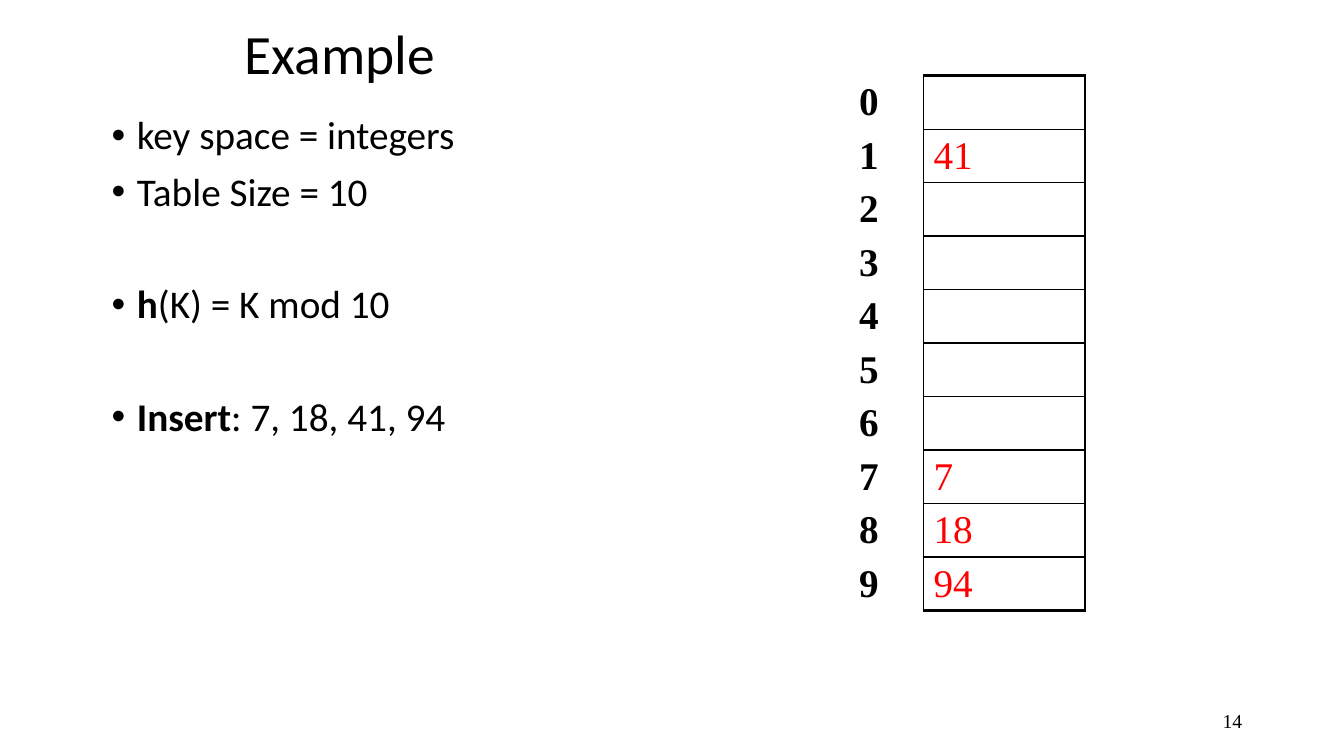
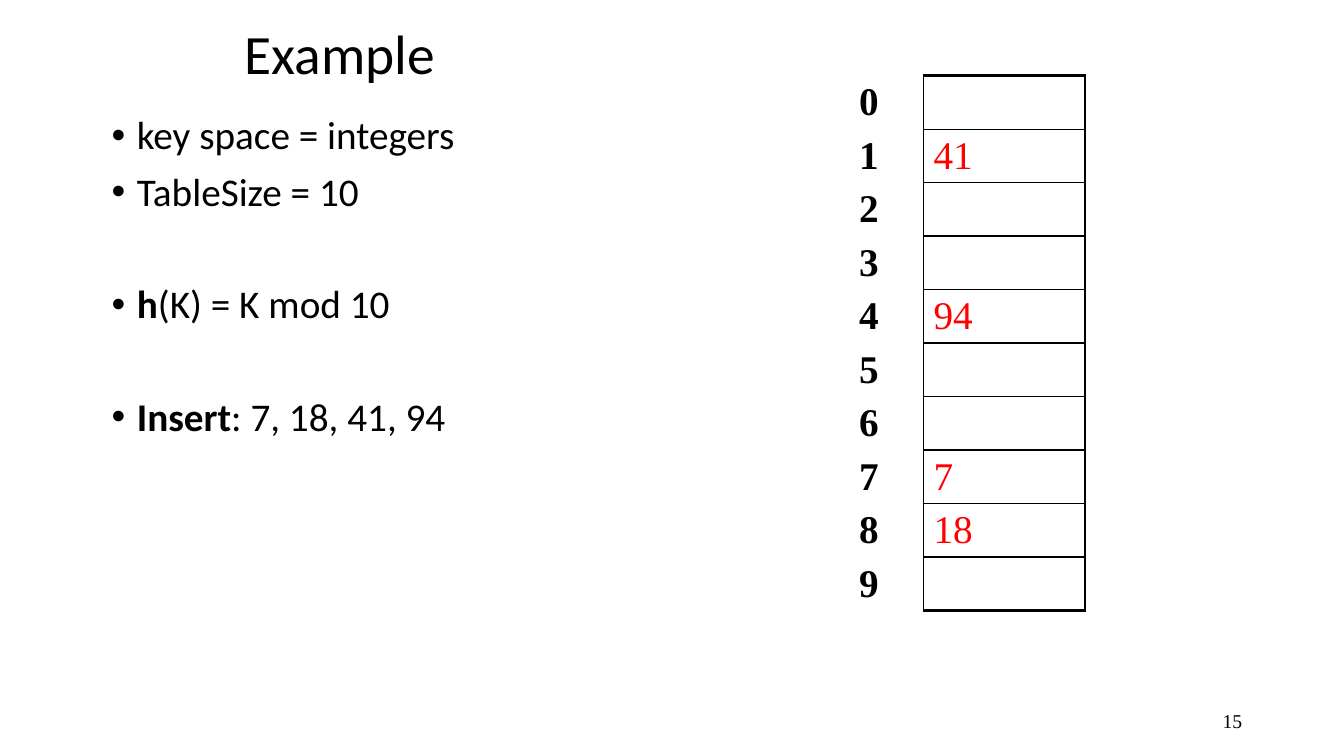
from lxml import etree
from pptx import Presentation
from pptx import util as u
from pptx.dml.color import RGBColor
from pptx.enum import text
from pptx.oxml import ns

BLACK, RED, WHITE = "000000", "FF0000", "FFFFFF"
SANS, SERIF = "Calibri", "Times New Roman"
TABLE_SIZE = 10
THIN, THICK = 1, 2.25

TITLE = {"size": u.Pt(39.6), "name": SANS}
BODY = {"size": u.Pt(28), "name": SANS}
PAGE_NUMBER = {"size": u.Pt(14), "name": SERIF}
INDEX = {"size": u.Pt(28), "name": SERIF, "bold": True}
KEY = {"size": u.Pt(28), "name": SERIF}

LINE = {"line_spacing": 0.9}
BULLET = {**LINE, "space_before": u.Pt(10)}
BULLET_AFTER_GAP = {**LINE, "space_before": u.Pt(50.3)}

SLIDES = [
    {"page": 14, "size_label": "Table Size", "keys": {1: 41, 7: 7, 8: 18, 9: 94}},
    {"page": 15, "size_label": "TableSize", "keys": {1: 41, 4: 94, 7: 7, 8: 18}},
]


def colour(value):
    return RGBColor.from_string(value)


def apply(target, values):
    for attribute, value in values.items():
        setattr(target, attribute, value)


def add_run(paragraph, words, font, ink=BLACK):
    run = paragraph.add_run()
    run.text = str(words)
    apply(run.font, font)
    run.font.color.rgb = colour(ink)


def add_frame(slide, left, top, width, height, anchor):
    box = slide.shapes.add_textbox(*map(u.Inches, (left, top, width, height)))
    apply(box.text_frame, {"word_wrap": True, "vertical_anchor": anchor})
    return box.text_frame


def add_title(slide, words):
    frame = add_frame(slide, 2.33, 0.19, 8.5, 0.75, text.MSO_ANCHOR.MIDDLE)
    heading = frame.paragraphs[0]
    apply(heading, LINE)
    add_run(heading, words, TITLE)


def add_page_number(slide, page):
    frame = add_frame(slide, 9.42, 6.95, 3, 0.4, text.MSO_ANCHOR.MIDDLE)
    number = frame.paragraphs[0]
    number.alignment = text.PP_ALIGN.RIGHT
    add_run(number, page, PAGE_NUMBER)


def set_bullet(paragraph):
    properties = paragraph._p.get_or_add_pPr()
    properties.set("marL", str(u.Inches(0.25)))
    properties.set("indent", str(-u.Inches(0.25)))
    etree.SubElement(properties, ns.qn("a:buFont")).set("typeface", "Arial")
    etree.SubElement(properties, ns.qn("a:buChar")).set("char", "•")


def add_bullets(slide, bullets):
    frame = add_frame(slide, 1.01, 1.1, 7.41, 4.96, text.MSO_ANCHOR.TOP)
    for position, (spacing, bold_words, words) in enumerate(bullets):
        bullet = frame.add_paragraph() if position else frame.paragraphs[0]
        apply(bullet, spacing)
        set_bullet(bullet)
        if bold_words:
            add_run(bullet, bold_words, {**BODY, "bold": True})
        add_run(bullet, words, BODY)


def set_borders(cell, widths):
    properties = cell._tc.get_or_add_tcPr()
    for side, width in widths.items():
        border = etree.SubElement(properties, ns.qn(f"a:ln{side}"))
        border.set("w", str(u.Pt(width)))
        fill = etree.SubElement(border, ns.qn("a:solidFill"))
        etree.SubElement(fill, ns.qn("a:srgbClr")).set("val", BLACK)


def fill_cell(cell, words, font, ink, borders):
    apply(cell, {
        "margin_top": u.Inches(0.03),
        "margin_bottom": u.Inches(0.03),
        "vertical_anchor": text.MSO_ANCHOR.MIDDLE,
    })
    set_borders(cell, borders)
    cell.fill.background()
    if words is not None:
        add_run(cell.text_frame.paragraphs[0], words, font, ink)


def add_hash_table(slide, keys):
    frame = slide.shapes.add_table(
        TABLE_SIZE, 2, *map(u.Inches, (8.42, 0.75, 2.34, 5.31)))
    buckets = frame.table
    apply(buckets, {"first_row": False, "horz_banding": False})
    for column, width in zip(buckets.columns, (0.74, 1.6)):
        column.width = u.Inches(width)
    for index in range(TABLE_SIZE):
        borders = {
            "L": THIN,
            "R": THICK,
            "T": THICK if index == 0 else THIN,
            "B": THICK if index == TABLE_SIZE - 1 else THIN,
        }
        fill_cell(buckets.cell(index, 0), index, INDEX, BLACK, {"R": THIN})
        fill_cell(buckets.cell(index, 1), keys.get(index), KEY, RED, borders)


def add_example(deck, page, size_label, keys):
    slide = deck.slides.add_slide(deck.slide_layouts[6])
    background = slide.background.fill
    background.solid()
    background.fore_color.rgb = colour(WHITE)
    add_page_number(slide, page)
    add_title(slide, "Example")
    add_bullets(slide, [
        (BULLET, "", "key space = integers"),
        (BULLET, "", f"{size_label} = {TABLE_SIZE}"),
        (BULLET_AFTER_GAP, "h", f"(K) = K mod {TABLE_SIZE}"),
        (BULLET_AFTER_GAP, "Insert", ": 7, 18, 41, 94"),
    ])
    add_hash_table(slide, keys)


def main():
    deck = Presentation()
    apply(deck, {"slide_width": u.Inches(13.33), "slide_height": u.Inches(7.5)})
    for example in SLIDES:
        add_example(deck, **example)
    deck.save("out.pptx")


if __name__ == "__main__":
    main()
